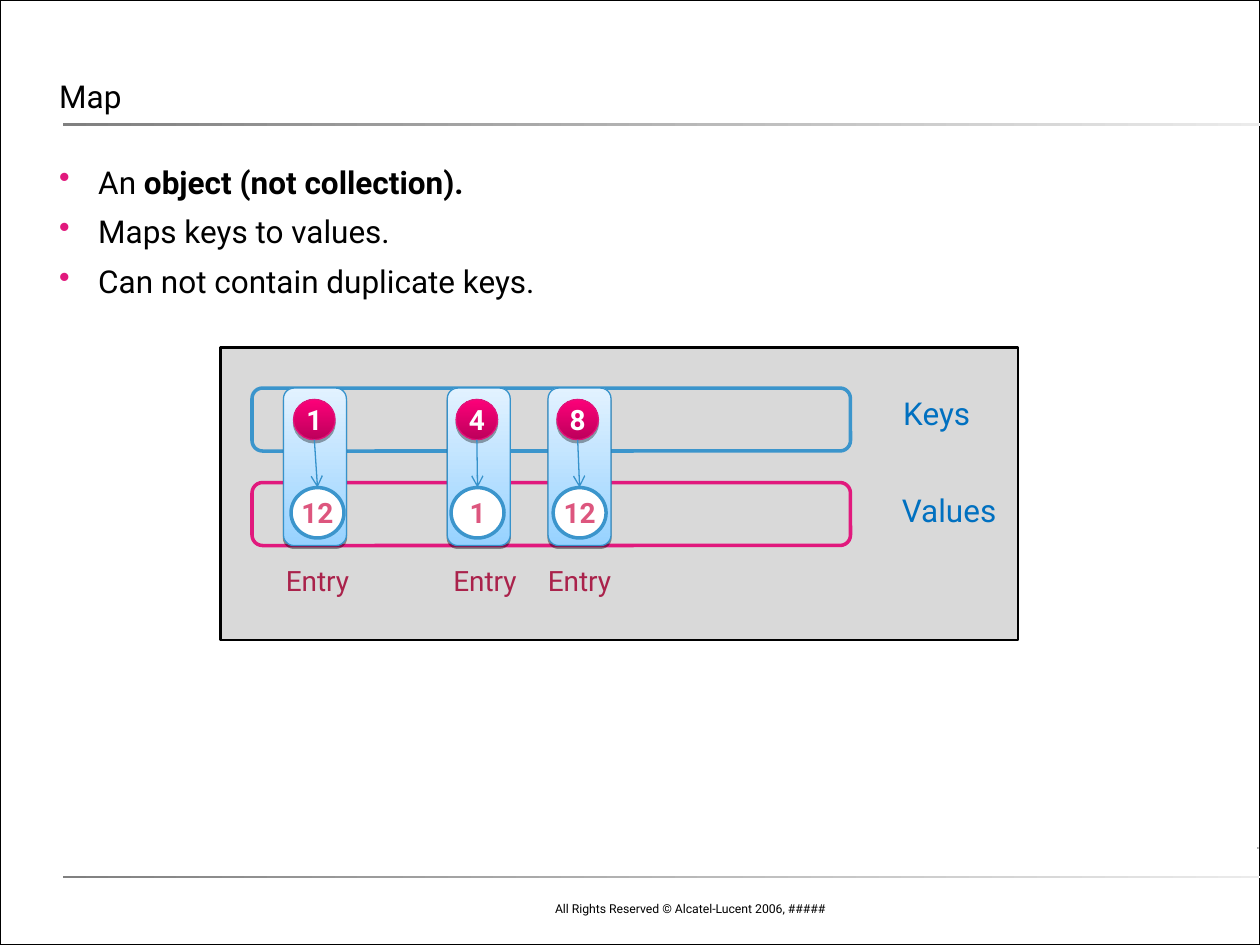
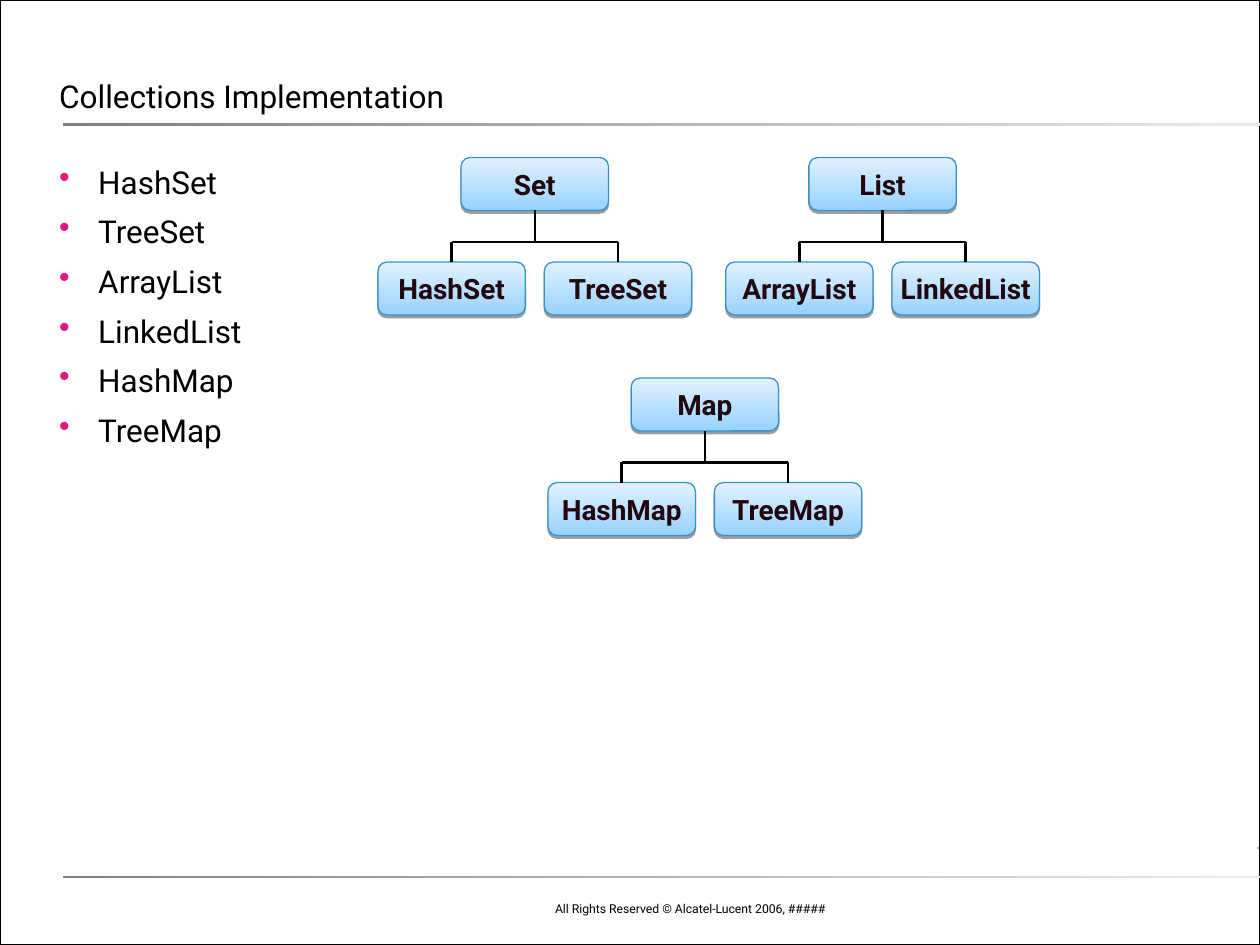
"""Build two slides on Java maps and collection implementations."""
from dataclasses import dataclass

from lxml.etree import SubElement
from pptx import Presentation
from pptx.dml.color import RGBColor
from pptx.enum.shapes import MSO_CONNECTOR, MSO_SHAPE
from pptx.enum.text import MSO_ANCHOR, MSO_AUTO_SIZE, PP_ALIGN
from pptx.oxml.ns import qn
from pptx.util import Inches, Pt


@dataclass(frozen=True)
class Theme:
    font: str = "Roboto"
    body_size: float = 18
    label_size: float = 16
    footer_size: float = 7
    black: str = "000000"
    white: str = "FFFFFF"
    panel: str = "D9D9D9"
    blue: str = "3B95CC"
    thin_blue: str = "3692CB"
    pink: str = "E1197D"
    key_line: str = "E1137A"
    side_label: str = "0070C0"
    entry_label: str = "AA224B"
    value_text: str = "DD567E"
    node_text: str = "22070F"
    node_fill: tuple = ("97D2FF", "E2F2FF", 90)
    key_fill: tuple = ("BD005B", "FD0079", 90)
    rule_fill: tuple = ("808080", "EBEBEB", 0)
    mark_fill: tuple = ("808080", "D7D7D7", 0)
    node_shadow: tuple = (38, 1.6)
    key_shadow: tuple = (35, 1.8)


THEME = Theme()
FOOTER = "All Rights Reserved © Alcatel-Lucent 2006, #####"
NO_INSETS = dict.fromkeys(("margin_left", "margin_top", "margin_right", "margin_bottom"), 0)
NODE_WIDTH, NODE_HEIGHT = 1.17, 0.42
CHILD_SHIFT, CHILD_DROP, BUS_DROP = 0.66, 0.83, 0.67
ENTRY_TOP, KEY_TOP, VALUE_TOP = 3.08, 3.17, 3.87
KEY_WIDTH, KEY_HEIGHT = 0.33, 0.32
VALUE_WIDTH, VALUE_HEIGHT = 0.42, 0.4


def apply(target, values):
    for name, value in values.items():
        setattr(target, name, value)


class SlideBuilder:
    def __init__(self, deck, theme):
        self.deck, self.theme, self.page = deck, theme, None

    def start(self, title):
        self.page = self.deck.slides.add_slide(self.deck.slide_layouts[5])
        box = self.page.shapes.title
        apply(box, {"left": Inches(0.47), "top": Inches(0.08),
                    "width": Inches(9.06), "height": Inches(0.83)})
        self.frame(box, vertical_anchor=MSO_ANCHOR.BOTTOM, **NO_INSETS)
        self.fill_para(box.text_frame.paragraphs[0], [(title, False)], line_spacing=1.2)
        self.shape(MSO_SHAPE.RECTANGLE, (0, 0, 10, 7.5), line=self.theme.black, weight=1)
        self.shape(MSO_SHAPE.RECTANGLE, (9.98, 6.72, 0.01, 0.02), self.theme.mark_fill)
        for top in (0.98, 6.95):
            self.shape(MSO_SHAPE.RECTANGLE, (0.5, top, 9.53, 0.02), self.theme.rule_fill)
        self.text(FOOTER, (3.5, 7.07, 3.15, 0.25), self.theme.footer_size,
                  self.theme.black, PP_ALIGN.RIGHT, vertical_anchor=MSO_ANCHOR.BOTTOM)

    def frame(self, box, **values):
        apply(box.text_frame, {"word_wrap": True, "auto_size": MSO_AUTO_SIZE.NONE, **values})

    def fill_para(self, para, spans, size=None, color=None, alignment=PP_ALIGN.LEFT, **values):
        apply(para, {"alignment": alignment, **values})
        for words, bold in spans:
            span = para.add_run()
            span.text = words
            apply(span.font, {"name": self.theme.font, "bold": bold,
                              "size": Pt(size or self.theme.body_size)})
            span.font.color.rgb = RGBColor.from_string(color or self.theme.black)

    def text(self, words, place, size, color, alignment=PP_ALIGN.LEFT, **values):
        box = self.page.shapes.add_textbox(*map(Inches, place))
        self.frame(box, **values)
        self.fill_para(box.text_frame.paragraphs[0], [(words, False)], size, color, alignment)

    def bullets(self, items):
        box = self.page.shapes.add_textbox(*map(Inches, (0.47, 1.29, 9.06, 4.95)))
        self.frame(box, **NO_INSETS)
        for index, spans in enumerate(items):
            para = box.text_frame.add_paragraph() if index else box.text_frame.paragraphs[0]
            properties = para._p.get_or_add_pPr()
            properties.set("marL", str(Inches(0.31)))
            properties.set("indent", str(-Inches(0.31)))
            color = SubElement(properties, qn("a:buClr"))
            SubElement(color, qn("a:srgbClr"), val=self.theme.pink)
            SubElement(properties, qn("a:buChar"), char="•")
            self.fill_para(para, spans, space_before=Pt(6.8 if index else 0))

    def shape(self, kind, place, fill=None, line=None, weight=0.75, shadow=None):
        shape = self.page.shapes.add_shape(kind, *map(Inches, place))
        shape.shadow.inherit = False
        if isinstance(fill, tuple):
            shape.fill.gradient()
            shape.fill.gradient_angle = fill[2]
            for stop, color in zip(shape.fill.gradient_stops, fill):
                stop.color.rgb = RGBColor.from_string(color)
        elif fill:
            shape.fill.solid()
            shape.fill.fore_color.rgb = RGBColor.from_string(fill)
        else:
            shape.fill.background()
        if line:
            shape.line.color.rgb = RGBColor.from_string(line)
            shape.line.width = Pt(weight)
        else:
            shape.line.fill.background()
        if shadow:
            alpha, distance = shadow
            effects = shape.element.spPr.find(qn("a:effectLst"))
            outer = SubElement(effects, qn("a:outerShdw"), blurRad="0", dist=str(Pt(distance)),
                               dir="5400000", rotWithShape="0")
            color = SubElement(outer, qn("a:srgbClr"), val=self.theme.black)
            SubElement(color, qn("a:alpha"), val=str(alpha * 1000))
        return shape

    def caption(self, shape, words, color):
        self.frame(shape, vertical_anchor=MSO_ANCHOR.MIDDLE, **NO_INSETS)
        shape.text_frame.word_wrap = False
        self.fill_para(shape.text_frame.paragraphs[0], [(words, True)], self.theme.label_size,
                       color, PP_ALIGN.CENTER)

    def rounded(self, place, **style):
        shape = self.shape(MSO_SHAPE.ROUNDED_RECTANGLE, place, **style)
        shape.adjustments[0] = 0.167
        return shape

    def panel_box(self, place):
        return self.rounded(place, fill=self.theme.node_fill, line=self.theme.thin_blue,
                            shadow=self.theme.node_shadow)

    def node(self, words, left, top):
        shape = self.panel_box((left, top, NODE_WIDTH, NODE_HEIGHT))
        self.caption(shape, words, self.theme.node_text)
        return shape

    def line(self, start, end, color, weight, arrow=False):
        connector = self.page.shapes.add_connector(
            MSO_CONNECTOR.STRAIGHT, *map(Inches, (*start, *end)))
        connector.line.color.rgb = RGBColor.from_string(color)
        connector.line.width = Pt(weight)
        properties = connector.element.spPr
        if arrow:
            SubElement(properties.find(qn("a:ln")), qn("a:tailEnd"), type="arrow")
        SubElement(properties, qn("a:effectLst"))
        return connector

    def tree(self, root, children, left, top):
        parent = self.node(root, left, top)
        center, bus = left + NODE_WIDTH / 2, top + BUS_DROP
        stem = self.line((center, top + NODE_HEIGHT), (center, bus), self.theme.black, 1.5)
        stem.begin_connect(parent, 2)
        self.line((center - CHILD_SHIFT, bus), (center + CHILD_SHIFT, bus),
                  self.theme.black, 1.5)
        for words, shift in zip(children, (-CHILD_SHIFT, CHILD_SHIFT)):
            child = self.node(words, left + shift, top + CHILD_DROP)
            drop = self.line((center + shift, bus), (center + shift, top + CHILD_DROP),
                             self.theme.black, 1.5)
            drop.end_connect(child, 0)

    def entry(self, key, value, left, key_left, value_left, label_left):
        theme = self.theme
        self.panel_box((left, ENTRY_TOP, 0.5, 1.25))
        key_circle = self.shape(MSO_SHAPE.OVAL, (key_left, KEY_TOP, KEY_WIDTH, KEY_HEIGHT),
                                theme.key_fill, theme.key_line, shadow=theme.key_shadow)
        self.caption(key_circle, key, theme.white)
        value_circle = self.shape(MSO_SHAPE.OVAL,
                                  (value_left, VALUE_TOP, VALUE_WIDTH, VALUE_HEIGHT),
                                  theme.white, theme.blue, 2)
        self.caption(value_circle, value, theme.value_text)
        self.line((key_left + KEY_WIDTH / 2, KEY_TOP + KEY_HEIGHT),
                  (value_left + VALUE_WIDTH / 2, VALUE_TOP), theme.thin_blue, 0.75, arrow=True)
        self.text("Entry", (label_left, 4.42, 0.83, 0.37), theme.label_size, theme.entry_label)


def build_map(builder):
    theme = builder.theme
    builder.start("Map")
    builder.bullets([
        [("An ", False), ("object (not collection).", True)],
        [("Maps keys to values.", False)],
        [("Can not contain duplicate keys.", False)],
    ])
    builder.shape(MSO_SHAPE.RECTANGLE, (1.75, 2.76, 6.33, 2.32), theme.panel, theme.black, 1.5)
    for words, color, top, label_place in (
        ("Keys", theme.blue, 3.08, (7.07, 3.08, 0.74, 0.4)),
        ("Values", theme.pink, 3.83, (7.06, 3.85, 0.97, 0.4)),
    ):
        builder.rounded((2, top, 4.75, 0.5), line=color, weight=2)
        builder.text(words, label_place, theme.body_size, theme.side_label, word_wrap=False)
    for entry in (
        ("1", "12", 2.25, 2.33, 2.31, 2.17),
        ("4", "1", 3.55, 3.62, 3.58, 3.5),
        ("8", "12", 4.35, 4.42, 4.39, 4.25),
    ):
        builder.entry(*entry)


def build_implementations(builder):
    trees = (
        ("Set", ("HashSet", "TreeSet"), 3.66, 1.25),
        ("List", ("ArrayList", "LinkedList"), 6.42, 1.25),
        ("Map", ("HashMap", "TreeMap"), 5.01, 3),
    )
    builder.start("Collections Implementation")
    builder.bullets([[(name, False)] for tree in trees for name in tree[1]])
    for tree in trees:
        builder.tree(*tree)


def main():
    deck = Presentation()
    apply(deck, {"slide_width": Inches(10), "slide_height": Inches(7.5)})
    builder = SlideBuilder(deck, THEME)
    build_map(builder)
    build_implementations(builder)
    deck.save("out.pptx")


if __name__ == "__main__":
    main()
